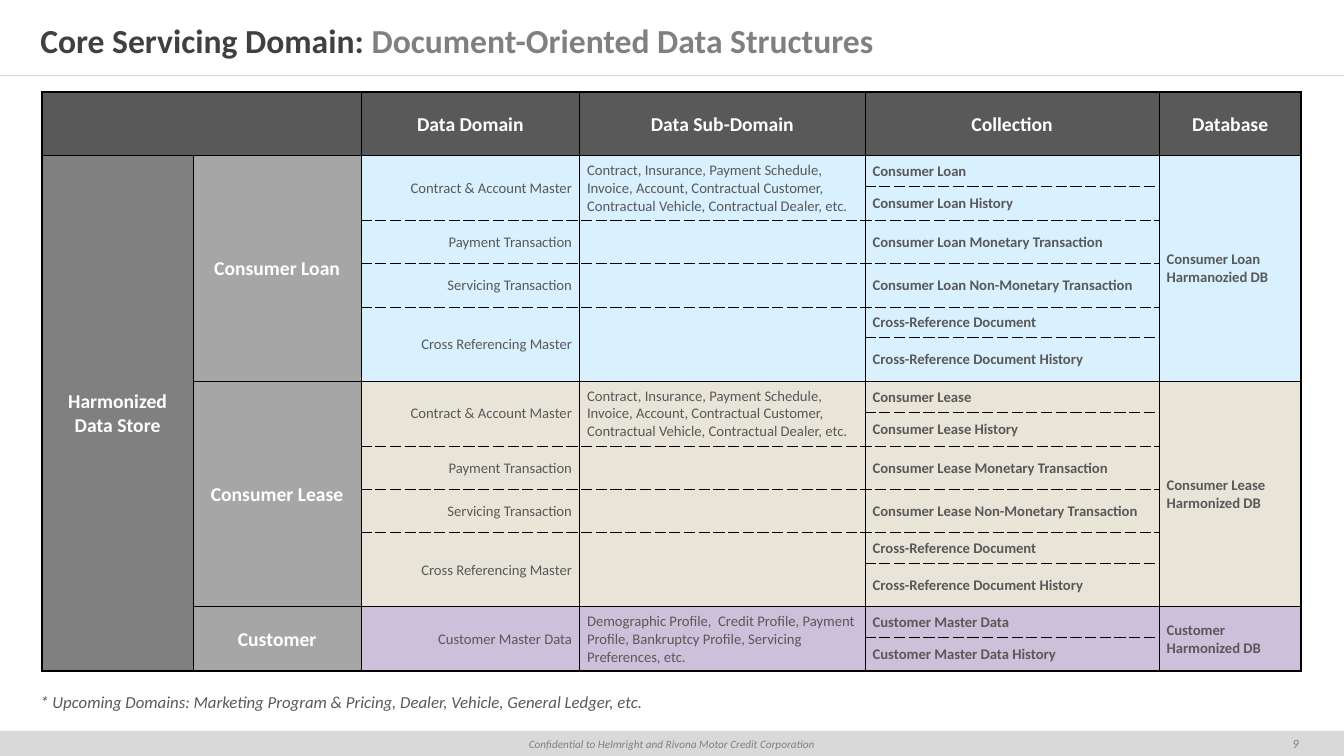
from lxml import etree
from pptx import Presentation
from pptx import util as u
from pptx.dml.color import RGBColor
from pptx.enum import shapes, text
from pptx.oxml import ns

Pt = u.Pt
hues = {
    "head": "595959", "store": "808080", "group": "A6A6A6", "loan": "D9F0FF",
    "lease": "E8E5D8", "client": "CCC0DA", "white": "FFFFFF", "title": "404040",
    "grey": "808080", "text": "595959", "bar": "D9D9D9", "line": "000000",
}
left, mid, right = text.PP_ALIGN.LEFT, text.PP_ALIGN.CENTER, text.PP_ALIGN.RIGHT

deck = Presentation()
deck.slide_width, deck.slide_height = Pt(960), Pt(540)
slide = deck.slides.add_slide(deck.slide_layouts[6])


def write(frame, lines, size, align, bold=False, ital=False):
    for i, runs in enumerate(lines):
        para = frame.paragraphs[0] if i == 0 else frame.add_paragraph()
        para.alignment = align
        for words, hue in runs:
            run = para.add_run()
            run.text = words
            font = run.font
            font.name, font.size, font.bold, font.italic = "Calibri", Pt(size), bold, ital
            font.color.rgb = RGBColor.from_string(hues[hue])


bar = slide.shapes.add_shape(shapes.MSO_SHAPE.RECTANGLE, 0, Pt(522), Pt(960), Pt(18))
bar.shadow.inherit = False
bar.fill.solid()
bar.fill.fore_color.rgb = RGBColor.from_string(hues["bar"])
bar.line.fill.background()

rule = slide.shapes.add_connector(shapes.MSO_CONNECTOR.STRAIGHT, 0, Pt(54), Pt(960), Pt(54))
rule.line.color.rgb = RGBColor.from_string(hues["bar"])
rule.line.width = Pt(0.25)
etree.SubElement(rule._element.spPr, ns.qn("a:effectLst"))

notes = [
    (0, 11.5, 960, 34.5, 24, left, True, False, 28.8,
     [("Core Servicing Domain: ", "title"), ("Document-Oriented Data Structures", "grey")]),
    (0, 486, 960, 30, 12, left, False, True, 28.8,
     [("* Upcoming Domains: Marketing Program & Pricing, Dealer, Vehicle, General Ledger, etc.", "text")]),
    (0, 522.5, 960, 17.5, 8, mid, False, True, 7.2,
     [("Confidential to Helmright and Rivona Motor Credit Corporation", "grey")]),
    (900, 522, 51, 18, 9, mid, False, True, 7.2, [("9", "grey")]),
]
for x, y, wide, high, size, align, bold, ital, pad, runs in notes:
    box = slide.shapes.add_textbox(Pt(x), Pt(y), Pt(wide), Pt(high)).text_frame
    box.word_wrap = True
    box.vertical_anchor = text.MSO_ANCHOR.MIDDLE
    box.margin_left = box.margin_right = Pt(pad)
    box.margin_top = box.margin_bottom = 0
    write(box, [runs], size, align, bold, ital)

wides = [108, 120, 156, 204, 210, 101.5]
block = [22, 24.3, 31, 31, 22, 31]
highs = [45] + block * 2 + [22, 23.7]
grid = slide.shapes.add_table(
    len(highs), len(wides), Pt(30), Pt(66), Pt(sum(wides)), Pt(sum(highs))).table
grid.first_row = grid.horz_banding = False
for col, wide in zip(grid.columns, wides):
    col.width = Pt(wide)
for row, high in zip(grid.rows, highs):
    row.height = Pt(high)

heads = ["Data Domain", "Data Sub-Domain", "Collection", "Database"]
cells = [
    (0, 0, 1, 2, "head", []),
    (1, 0, 14, 1, "store", ["Harmonized", "Data Store"]),
]
cells += [(0, c, 1, 1, "head", [name]) for c, name in enumerate(heads, 2)]

terms = ("Contract, Insurance, Payment Schedule, Invoice, Account, "
         "Contractual Customer, Contractual Vehicle, Contractual Dealer, etc.")
works = [(0, 2, "Contract & Account Master", terms), (2, 1, "Payment Transaction", ""),
         (3, 1, "Servicing Transaction", ""), (4, 2, "Cross Referencing Master", "")]
facts = ("Demographic Profile,  Credit Profile, Payment Profile, "
         "Bankruptcy Profile, Servicing Preferences, etc.")
tails = ["", " History", " Monetary Transaction", " Non-Monetary Transaction"]
cross = ["Cross-Reference Document", "Cross-Reference Document History"]
groups = [
    (1, "Consumer Loan", "loan", "Consumer Loan Harmanozied DB", works,
     ["Consumer Loan" + tail for tail in tails] + cross),
    (7, "Consumer Lease", "lease", "Consumer Lease Harmonized DB", works,
     ["Consumer Lease" + tail for tail in tails] + cross),
    (13, "Customer", "client", "Customer Harmonized DB",
     [(0, 2, "Customer Master Data", facts)],
     ["Customer Master Data", "Customer Master Data History"]),
]
for top, name, hue, base, parts, sets in groups:
    cells.append((top, 1, len(sets), 1, "group", [name]))
    cells.append((top, 5, len(sets), 1, hue, [base]))
    for step, span, job, scope in parts:
        cells.append((top + step, 2, span, 1, hue, [job]))
        cells.append((top + step, 3, span, 1, hue, [scope] if scope else []))
    cells += [(top + i, 4, 1, 1, hue, [item]) for i, item in enumerate(sets)]


def edge(cell, side, at, place):
    cross = side in "TB"
    wide = 1.5 if at in ((0, 15) if cross else (0, 6)) else 1
    dash = cross and at not in (0, 1, 7, 13, 15)
    line = etree.Element(ns.qn("a:ln" + side), w=str(Pt(0.5 if dash else wide)))
    fill = etree.SubElement(line, ns.qn("a:solidFill"))
    etree.SubElement(fill, ns.qn("a:srgbClr"), val=hues["line"])
    etree.SubElement(line, ns.qn("a:prstDash"), val="dash" if dash else "solid")
    cell._tc.get_or_add_tcPr().insert(place, line)


for top, col, down, over, hue, lines in cells:
    main = grid.cell(top, col)
    if down * over > 1:
        main.merge(grid.cell(top + down - 1, col + over - 1))
    for r in range(top, top + down):
        for c in range(col, col + over):
            cell = grid.cell(r, c)
            cell.fill.solid()
            cell.fill.fore_color.rgb = RGBColor.from_string(hues[hue])
            sides = [("L", col, c == col), ("R", col + over, c == col + over - 1),
                     ("T", top, r == top), ("B", top + down, r == top + down - 1)]
            shown = [(side, at) for side, at, outer in sides if outer or cell.is_merge_origin]
            for place, (side, at) in enumerate(shown):
                edge(cell, side, at, place)
    dark = hue in ("head", "store", "group")
    align = mid if dark else right if col == 2 else left
    main.vertical_anchor = text.MSO_ANCHOR.MIDDLE
    main.margin_left = Pt(5.4 if align == left else 0.7)
    main.margin_right = Pt(5.4 if align == right else 0.7)
    main.margin_top, main.margin_bottom = Pt(0.7), 0
    write(main.text_frame, [[(line, "white" if dark else "text")] for line in lines],
          14 if dark else 10.5, align, dark or col > 3)

deck.save("out.pptx")
